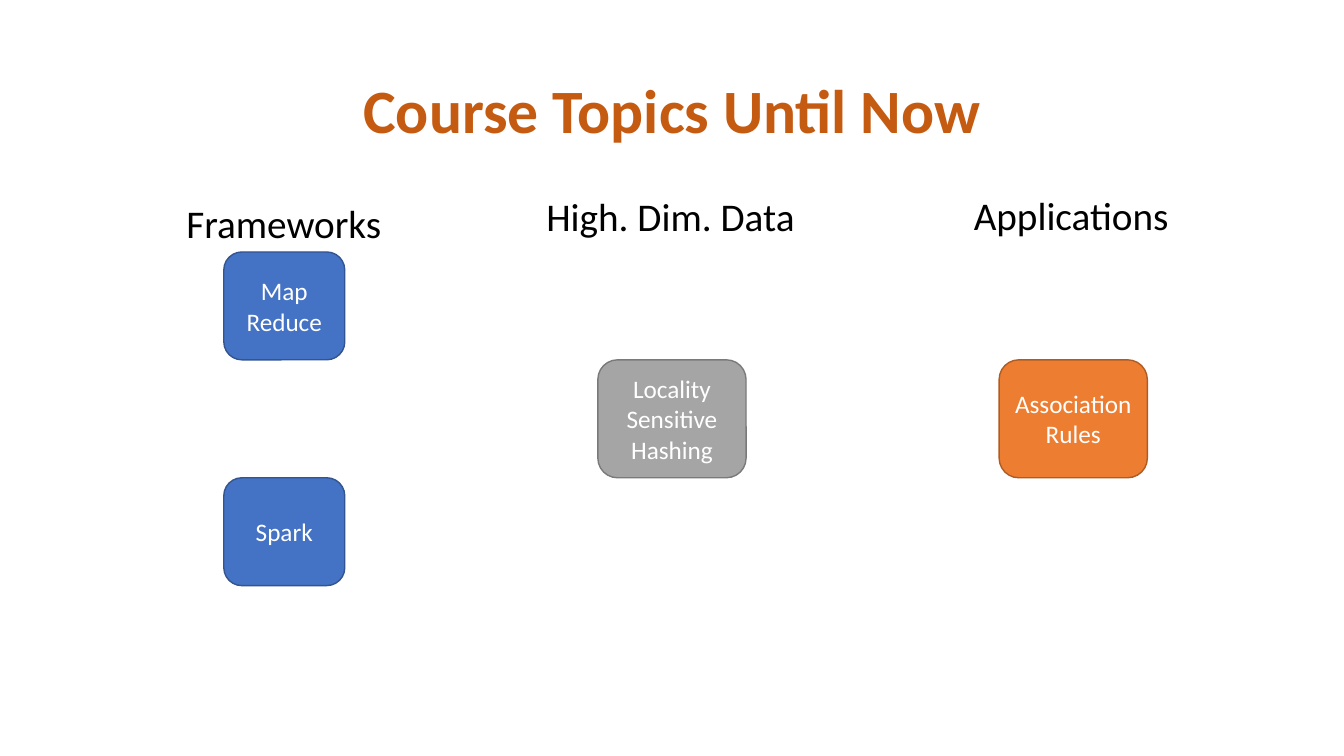
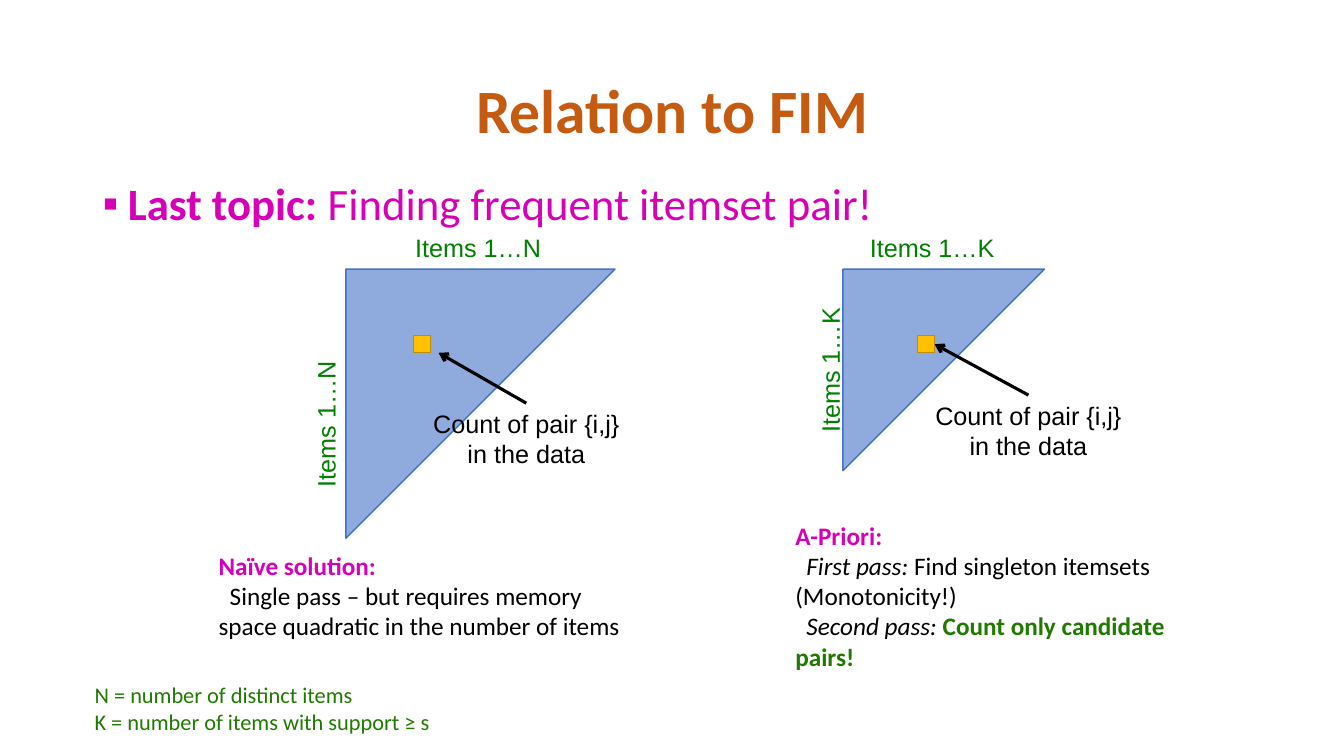
"""Build two slides on course topics and frequent itemset mining."""
import dataclasses

import lxml.etree
import pptx
import pptx.dml.color
import pptx.enum.shapes
import pptx.enum.text
import pptx.oxml.ns
import pptx.util

PX = 9144
SHAPE = pptx.enum.shapes.MSO_SHAPE
ALIGN = pptx.enum.text.PP_ALIGN
ANCHOR = pptx.enum.text.MSO_ANCHOR
FIT = pptx.enum.text.MSO_AUTO_SIZE


@dataclasses.dataclass(frozen=True)
class Theme:
    title: str = "C55A11"
    ink: str = "000000"
    white: str = "FFFFFF"
    pink: str = "D600B7"
    green: str = "207A00"
    label: str = "008000"
    blue: tuple = ("4472C4", "325491")
    grey: tuple = ("A5A5A5", "7A7A7A")
    orange: tuple = ("ED7D31", "AF5C24")
    area: tuple = ("8FAADC", "4472C4")
    gold: tuple = ("FFC000", "BD8E00")
    font: str = "Calibri"
    plain: str = "Arial"
    huge: int = 44
    lead: int = 32
    head: int = 28
    base: int = 18
    small: int = 16


THEME = Theme()


def rgb(code):
    return pptx.dml.color.RGBColor.from_string(code)


def emu(box):
    return [pptx.util.Emu(part * PX) for part in box]


def assign(item, values):
    for name, value in values.items():
        setattr(item, name, value)


def add_xml(parent, tag, **values):
    return lxml.etree.SubElement(parent, pptx.oxml.ns.qn(tag), values)


def write(frame, paras, size, font=THEME.font, **style):
    """Fill a frame with paragraphs, each a list of (text, colour, flags)."""
    for index, runs in enumerate(paras):
        para = frame.add_paragraph() if index else frame.paragraphs[0]
        assign(para, style)
        for text, color, flags in runs:
            run = para.add_run()
            run.text = text
            assign(run.font, {"name": font, "size": pptx.util.Pt(size),
                              "bold": "b" in flags, "italic": "i" in flags})
            run.font.color.rgb = rgb(color)


def add_text(slide, box, paras, size, wrap=True, fit=FIT.SHAPE_TO_FIT_TEXT,
             anchor=ANCHOR.TOP, **style):
    shape = slide.shapes.add_textbox(*emu(box))
    assign(shape.text_frame, {"word_wrap": wrap, "auto_size": fit,
                              "vertical_anchor": anchor})
    write(shape.text_frame, paras, size, **style)
    return shape


def add_title(slide, text):
    add_text(slide, (92, 40, 1150, 145), [[(text, THEME.title, "b")]],
             THEME.huge, fit=FIT.NONE, anchor=ANCHOR.MIDDLE,
             alignment=ALIGN.CENTER, line_spacing=0.9)


def add_bullet(slide, box, runs):
    shape = add_text(slide, box, [runs], THEME.lead, fit=FIT.NONE,
                     line_spacing=0.9, space_before=pptx.util.Pt(10))
    indent(shape, 0, -25, 25)
    props = shape.text_frame.paragraphs[0]._p.get_or_add_pPr()
    add_xml(props, "a:buFont", typeface=THEME.plain)
    add_xml(props, "a:buChar", char="▪")


def indent(shape, index, first, left=0):
    props = shape.text_frame.paragraphs[index]._p.get_or_add_pPr()
    props.set("marL", str(left * PX))
    props.set("indent", str(first * PX))


def add_box(slide, kind, box, colors, turn=0):
    shape = slide.shapes.add_shape(kind, *emu(box))
    fill, line = colors
    shape.fill.solid()
    shape.fill.fore_color.rgb = rgb(fill)
    shape.line.color.rgb = rgb(line)
    shape.line.width = pptx.util.Pt(1)
    shape.shadow.inherit = False
    shape.rotation = turn
    return shape


def add_topic(slide, box, text, colors):
    shape = add_box(slide, SHAPE.ROUNDED_RECTANGLE, box, colors)
    assign(shape.text_frame, {"word_wrap": True,
                              "vertical_anchor": ANCHOR.MIDDLE})
    write(shape.text_frame, [[(text, THEME.white, "")]], THEME.base,
          alignment=ALIGN.CENTER)


def add_arrow(slide, note, dot, end):
    """Point from a note to a free end, or to the dot's right side."""
    line = slide.shapes.add_connector(
        pptx.enum.shapes.MSO_CONNECTOR.STRAIGHT, 0, 0, *emu(end or (0, 0)))
    line.begin_connect(note, 0)
    if not end:
        line.end_connect(dot, 3)
    line.line.color.rgb = rgb(THEME.ink)
    line.line.width = pptx.util.Pt(2.25)
    props = line._element.spPr
    add_xml(props.find(pptx.oxml.ns.qn("a:ln")), "a:tailEnd", type="arrow")
    add_xml(props, "a:effectLst")


def add_matrix(slide, left, size, items, side, top, dot, note, end=None):
    """Draw a triangular matrix with its labels and one marked count."""
    add_box(slide, SHAPE.RIGHT_TRIANGLE, (left, 267, size, size),
            THEME.area, 90)
    for spot, turn in ((side, 270), (top, 0)):
        label = add_text(slide, (*spot, 146, 40),
                         [[(items, THEME.label, "")]], THEME.base,
                         wrap=False, font=THEME.plain)
        label.rotation = turn
    mark = add_box(slide, SHAPE.RECTANGLE, (dot, 333, 17, 17), THEME.gold)
    count = add_text(slide, note,
                     [[("Count of pair {i,j} in the data", THEME.ink, "")]],
                     THEME.base, font=THEME.plain, alignment=ALIGN.CENTER)
    add_arrow(slide, count, mark, end)


def add_method(slide, box, paras):
    shape = add_text(slide, box, paras, THEME.base)
    for index in range(1, len(paras)):
        indent(shape, index, 11)


def build_topics(slide):
    add_title(slide, "Course Topics Until Now")
    for row, text in enumerate(("Map Reduce", "Spark")):
        add_topic(slide, (222, 250 + 224 * row, 120, 107), text, THEME.blue)
    for left, text, colors in (
            (991, "Association Rules", THEME.orange),
            (593, "Locality Sensitive Hashing", THEME.grey)):
        add_topic(slide, (left, 357, 147, 117), text, colors)
    for left, top, width, text in ((175, 193, 216, "Frameworks"),
                                   (532, 186, 269, "High. Dim. Data"),
                                   (956, 185, 216, "Applications")):
        add_text(slide, (left, top, width, 57), [[(text, THEME.ink, "")]],
                 THEME.head, wrap=False)


def build_relation(slide):
    ink, pink, green = THEME.ink, THEME.pink, THEME.green
    add_title(slide, "Relation to FIM")
    add_bullet(slide, (92, 175, 1150, 559),
               [("Last topic: ", pink, "b"),
                ("Finding frequent itemset pair!", pink, "")])
    add_matrix(slide, 343, 267, "Items 1…N", (250, 400), (402, 226), 410,
               (418, 400, 208, 71), (435, 350))
    add_matrix(slide, 836, 200, "Items 1…K", (750, 346), (853, 226), 910,
               (911, 392, 218, 71))
    add_method(slide, (207, 541, 439, 101), [
        [("Naïve solution:", pink, "b")],
        [("Single pass – but requires memory space quadratic "
          "in the number of items", ink, "")]])
    add_method(slide, (779, 511, 439, 162), [
        [("A-Priori:", pink, "b")],
        [("First pass: ", ink, "i"),
         ("Find singleton itemsets (Monotonicity!)", ink, "")],
        [("Second pass: ", ink, "i"),
         ("Count only candidate pairs!", green, "b")]])
    add_text(slide, (84, 671, 439, 64), [
        [("N = number of distinct items", green, "")],
        [("K = number of items with support ≥ s", green, "")]], THEME.small)


def main():
    deck = pptx.Presentation()
    deck.slide_width, deck.slide_height = emu((1333, 750))
    for build in (build_topics, build_relation):
        build(deck.slides.add_slide(deck.slide_layouts[6]))
    deck.save("out.pptx")


if __name__ == "__main__":
    main()
